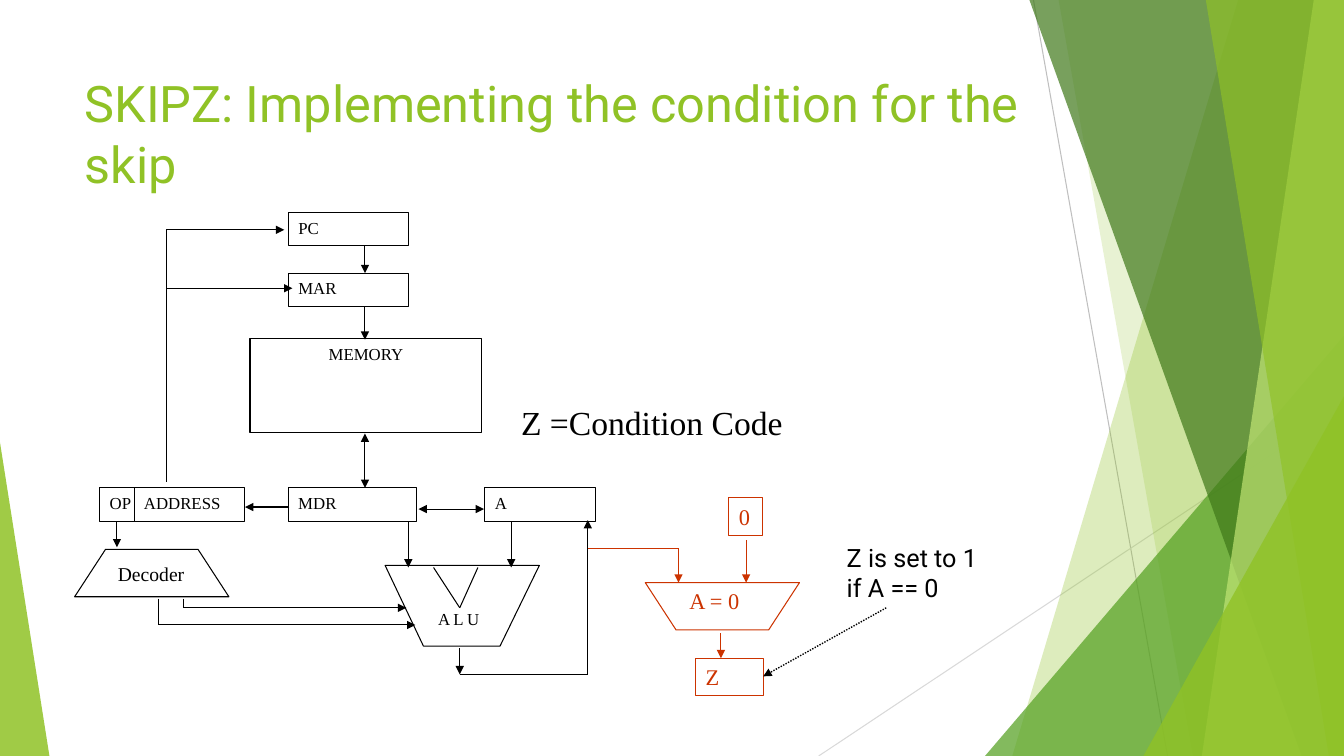
"""Build the SKIPZ slide: a processor datapath with its zero-condition logic."""
from dataclasses import dataclass
from itertools import pairwise
from lxml.etree import SubElement
from pptx import Presentation
from pptx.dml.color import RGBColor
from pptx.enum.dml import MSO_LINE
from pptx.enum.shapes import MSO_CONNECTOR, MSO_SHAPE
from pptx.enum.text import MSO_ANCHOR, PP_ALIGN
from pptx.oxml.ns import qn
from pptx.util import Inches, Pt


@dataclass(frozen=True)
class Theme:
    green: str = "90C226"
    leaf: str = "54A021"
    forest: str = "3F7819"
    lime: str = "C0E474"
    ink: str = "000000"
    paper: str = "FFFFFF"
    condition: str = "CC3300"
    rule: str = "BFBFBF"
    pale_rule: str = "D9D9D9"
    sans: str = "Roboto"
    serif: str = "Times New Roman"
    title: int = 36
    heading: int = 24
    note: int = 18
    value: int = 16
    decoder: int = 14
    register: int = 12
    stroke: float = 0.74


THEME = Theme()
WIDTH, HEIGHT = 13.33, 7.5
LEFT, CENTER = PP_ALIGN.LEFT, PP_ALIGN.CENTER
REGISTER_HEIGHT = 0.33
BUS_X, MEMORY_X, RESULT_X = 1.65, 3.62, 5.83

TITLE = "SKIPZ: Implementing the condition for the skip"

BACKDROP_RULES = [
    ([(10.25, 0), (11.58, HEIGHT)], THEME.rule),
    ([(WIDTH, 4.03), (8.12, HEIGHT)], THEME.pale_rule),
]
RIGHT_EDGE = [(WIDTH, 0), (WIDTH, HEIGHT)]
BACKDROP = [
    ([(12.28, 0), *RIGHT_EDGE, (10.04, HEIGHT)], THEME.green, 30),
    ([(10.5, 0), *RIGHT_EDGE, (11.83, HEIGHT)], THEME.green, 20),
    ([(WIDTH, 3.33), (WIDTH, HEIGHT), (9.77, HEIGHT)], THEME.leaf, 72),
    ([(10.21, 0), *RIGHT_EDGE, (12.91, HEIGHT)], THEME.forest, 70),
    ([(13.03, 0), *RIGHT_EDGE, (11.92, HEIGHT)], THEME.lime, 70),
    ([(11.96, 0), *RIGHT_EDGE, (13.18, HEIGHT)], THEME.green, 65),
    ([(WIDTH, 3.93), (WIDTH, HEIGHT), (11.34, HEIGHT)], THEME.green, 80),
    ([(0, 4.39), (0.49, HEIGHT), (0, HEIGHT)], THEME.green, 85),
]

REGISTERS = [
    ("PC", 2.86, 2.11, 1.19),
    ("MAR", 2.86, 2.71, 1.19),
    ("OP", 0.99, 4.84, 0.34),
    ("ADDRESS", 1.33, 4.84, 1.1),
    ("MDR", 2.86, 4.84, 1.27),
    ("A", 4.81, 4.84, 1.1),
]
CONDITION_BOXES = [("0", (7.23, 4.94, 0.33, 0.37)), ("Z", (6.9, 6.53, 0.67, 0.37))]
FUNNELS = [
    ((0.74, 5.45, 1.53, 0.47), THEME.ink, 180),
    ((6.4, 5.78, 1.53, 0.47), THEME.condition, 0),
]
ALU = [(3.82, 5.61), (4.2, 6.41), (4.96, 6.41), (5.35, 5.61)]

LABELS = [
    ("Decoder", (1.07, 5.53, 0.92, 0.34), THEME.decoder, THEME.serif, THEME.ink, LEFT),
    ("A L U", (4.2, 5.99, 0.7, 0.3), THEME.register, THEME.serif, THEME.ink, CENTER),
    ("A = 0", (6.74, 5.78, 0.7, 0.37), THEME.value, THEME.serif, THEME.condition, LEFT),
    ("Z =Condition Code", (5.07, 3.94, 2.9, 0.5), THEME.heading, THEME.serif, THEME.ink, LEFT),
    ("Z is set to 1 if A == 0", (8.3, 5.33, 1.44, 0.71), THEME.note, THEME.sans, THEME.ink, LEFT),
]

PLAIN, ARROW, DOUBLE = (), ("tailEnd",), ("headEnd", "tailEnd")
ROUTES = [
    ([(MEMORY_X, 2.44), (MEMORY_X, 2.71)], ARROW),
    ([(MEMORY_X, 3.04), (MEMORY_X, 3.37)], ARROW),
    ([(MEMORY_X, 4.3), (MEMORY_X, 4.84)], DOUBLE),
    ([(BUS_X, 4.78), (BUS_X, 2.28), (2.82, 2.28)], ARROW),
    ([(BUS_X, 2.86), (2.9, 2.86)], ARROW),
    ([(2.87, 5.03), (2.43, 5.03)], ARROW),
    ([(4.15, 5.05), (4.8, 5.05)], DOUBLE),
    ([(1.16, 5.17), (1.16, 5.43)], ARROW),
    ([(1.82, 5.94), (1.82, 6.03), (4.03, 6.03)], ARROW),
    ([(1.57, 5.94), (1.57, 6.2), (4.12, 6.2)], ARROW),
    ([(4.05, 5.17), (4.05, 5.63)], ARROW),
    ([(5.07, 5.17), (5.07, 5.63)], ARROW),
    ([(4.3, 5.63), (4.56, 6.03), (4.74, 5.63)], PLAIN),
    ([(4.56, 6.43), (4.56, 6.69)], ARROW),
    ([(4.56, 6.69), (RESULT_X, 6.69), (RESULT_X, 5.16)], ARROW),
]
CONDITION_ROUTES = [
    ([(RESULT_X, 5.44), (6.73, 5.44), (6.73, 5.78)], ARROW),
    ([(7.4, 5.36), (7.4, 5.78)], ARROW),
    ([(7.15, 6.28), (7.15, 6.53)], ARROW),
]
NOTE_ROUTE = [(8.79, 6.03), (7.57, 6.71)]


def rgb(color):
    return RGBColor.from_string(color)


def write(shape, text, size, font, color, align=LEFT, wrap=True, side=0.1):
    frame = shape.text_frame
    layout = {
        "word_wrap": wrap, "vertical_anchor": MSO_ANCHOR.TOP,
        "margin_left": Inches(side), "margin_right": Inches(0),
        "margin_top": Inches(0.05), "margin_bottom": Inches(0.05),
    }
    if align == CENTER:
        layout["margin_right"] = Inches(side)
    for name, value in layout.items():
        setattr(frame, name, value)
    paragraph = frame.paragraphs[0]
    paragraph.text, paragraph.alignment = text, align
    for name, value in {"size": Pt(size), "name": font, "bold": False}.items():
        setattr(paragraph.font, name, value)
    paragraph.font.color.rgb = rgb(color)


def paint(shape, fill, line):
    shape.shadow.inherit = False
    for part, color in ((shape.fill, fill), (shape.line.fill, line)):
        if color:
            part.solid()
            part.fore_color.rgb = rgb(color)
        else:
            part.background()
    if line:
        shape.line.width = Pt(THEME.stroke)


def add_block(slide, kind, box, fill, line):
    shape = slide.shapes.add_shape(kind, *map(Inches, box))
    paint(shape, fill, line)
    return shape


def add_polygon(slide, points, fill, line=None, opacity=100):
    corners = [(Inches(x), Inches(y)) for x, y in points]
    builder = slide.shapes.build_freeform(*corners[0])
    builder.add_line_segments(corners[1:], close=True)
    shape = builder.convert_to_shape()
    paint(shape, fill, line)
    if opacity < 100:
        color = next(shape.element.iter(qn("a:srgbClr")))
        SubElement(color, qn("a:alpha"), val=str(opacity * 1000))


def add_route(slide, points, ends, color, width=THEME.stroke, dash=None):
    for start, end in pairwise(points):
        connector = slide.shapes.add_connector(MSO_CONNECTOR.STRAIGHT, *map(Inches, start + end))
        connector.line.color.rgb = rgb(color)
        connector.line.width = Pt(width)
        if dash:
            connector.line.dash_style = dash
        properties = connector.element.spPr
        if end == points[-1]:
            for name in ends:
                SubElement(properties.get_or_add_ln(), qn(f"a:{name}"), type="triangle")
        SubElement(properties, qn("a:effectLst"))


presentation = Presentation()
presentation.slide_width, presentation.slide_height = Inches(WIDTH), Inches(HEIGHT)
slide = presentation.slides.add_slide(presentation.slide_layouts[5])

for points, color in BACKDROP_RULES:
    add_route(slide, points, PLAIN, color, 0.75)
for points, color, opacity in BACKDROP:
    add_polygon(slide, points, color, opacity=opacity)

title = slide.shapes.title
title.left, title.top, title.width, title.height = map(Inches, (0.74, 0.67, 9.4, 1.44))
write(title, TITLE, THEME.title, THEME.sans, THEME.green)

for text, left, top, width in REGISTERS:
    box = (left, top, width, REGISTER_HEIGHT)
    block = add_block(slide, MSO_SHAPE.RECTANGLE, box, THEME.paper, THEME.ink)
    write(block, text, THEME.register, THEME.serif, THEME.ink)
memory = add_block(slide, MSO_SHAPE.RECTANGLE, (2.48, 3.36, 2.3, 0.93), THEME.paper, THEME.ink)
write(memory, "MEMORY", THEME.register, THEME.serif, THEME.ink, CENTER)
for text, box in CONDITION_BOXES:
    block = add_block(slide, MSO_SHAPE.RECTANGLE, box, None, THEME.condition)
    write(block, text, THEME.value, THEME.serif, THEME.condition)
for box, color, rotation in FUNNELS:
    add_block(slide, MSO_SHAPE.FLOWCHART_MANUAL_OPERATION, box, THEME.paper, color).rotation = rotation
add_polygon(slide, ALU, THEME.paper, THEME.ink)

for routes, color in ((ROUTES, THEME.ink), (CONDITION_ROUTES, THEME.condition)):
    for points, ends in routes:
        add_route(slide, points, ends, color)
add_route(slide, NOTE_ROUTE, ARROW, THEME.ink, 1, MSO_LINE.ROUND_DOT)
for text, box, *style in LABELS:
    write(slide.shapes.add_textbox(*map(Inches, box)), text, *style)

presentation.save("out.pptx")
